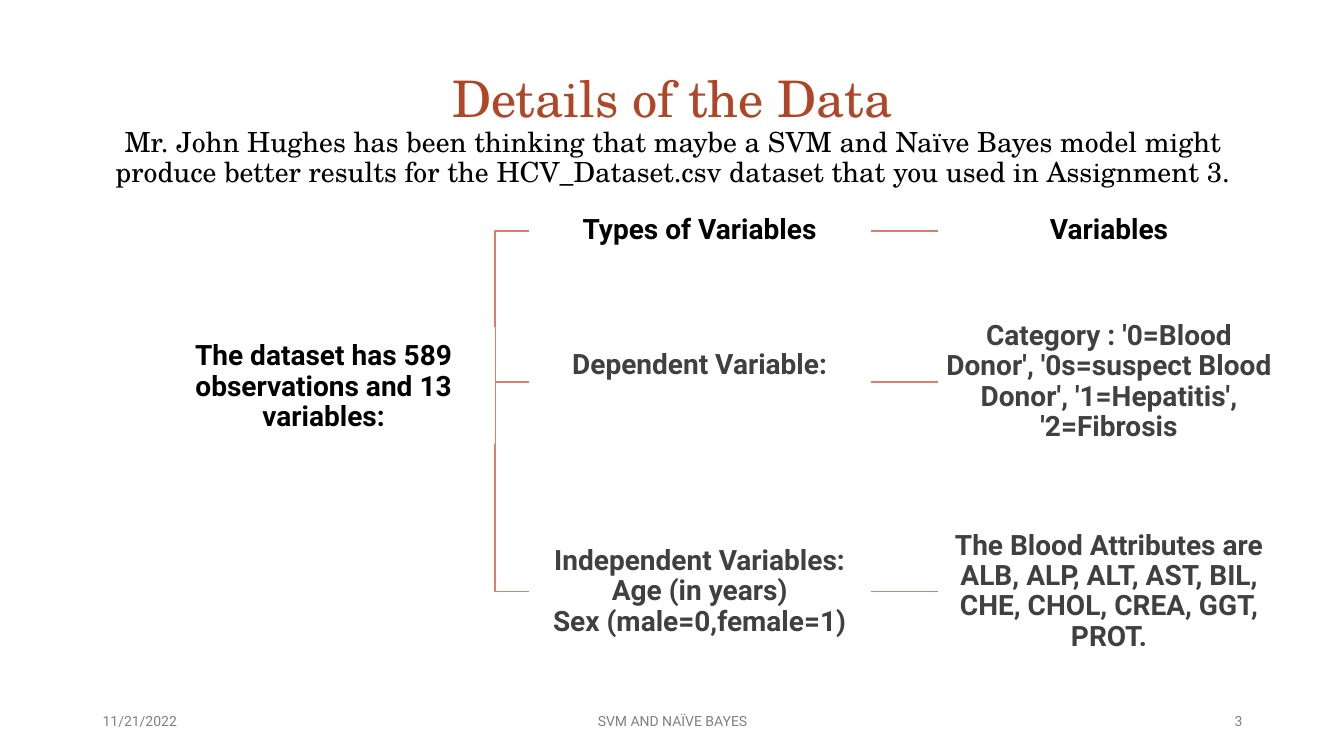
from pptx import Presentation, util as u
from pptx.dml.color import RGBColor
from pptx.enum import shapes, text
from pptx.oxml.ns import qn
from lxml import etree

BLACK = RGBColor(0x00, 0x00, 0x00)
WHITE = RGBColor(0xFF, 0xFF, 0xFF)
RUST = RGBColor(0xAF, 0x46, 0x27)
CORAL = RGBColor(0xDC, 0x80, 0x65)
CHARCOAL = RGBColor(0x40, 0x40, 0x40)
GRAY = RGBColor(0x80, 0x80, 0x80)
SERIF, SANS = "TeX Gyre Schola", "Roboto"
CENTER = text.PP_ALIGN.CENTER

MARGIN = 0.92
NODE_WIDTH, COLUMN_STEP = 3.38, 4.06
TREE_LEFT = 5.25
ROOT = "The dataset has 589 observations and 13 variables:"
# Row: centre, colour, then (text, height, bottom inset) for each column
ROWS = [
    (2.29, BLACK, [("Types of Variables", 0.54, 0.01), ("Variables", 0.52, 0.01)]),
    (3.79, CHARCOAL, [
        ("Dependent Variable:", 1.54, 0.33),
        ("Category : '0=Blood Donor', '0s=suspect Blood Donor', "
         "'1=Hepatitis', '2=Fibrosis", 1.63, 0.01)]),
    (5.87, CHARCOAL, [
        ("Independent Variables:\vAge (in years)\vSex (male=0,female=1)", 1.61, 0.01),
        ("The Blood Attributes are ALB, ALP, ALT, AST, BIL, CHE, CHOL, "
         "CREA, GGT, PROT.", 1.68, 0.01)]),
]


def write(shape, wording, align, styles, spacing=None):
    """Fill a shape with one paragraph; styles gives font, size, colour and bold, last one repeating."""
    frame = shape.text_frame
    frame.word_wrap = True
    frame.vertical_anchor = text.MSO_ANCHOR.MIDDLE
    paragraph = frame.paragraphs[0]
    paragraph.text = wording
    paragraph.alignment = align
    if spacing:
        paragraph.line_spacing = spacing
    for index, run in enumerate(paragraph.runs):
        name, size, color, bold = styles[min(index, len(styles) - 1)]
        run.font.name, run.font.size, run.font.bold = name, u.Pt(size), bold
        run.font.color.rgb = color


def add_text(slide, box, *content):
    write(slide.shapes.add_textbox(*map(u.Inches, box)), *content)


def add_title(slide, box):
    wording = ("Details of the Data\vMr. John Hughes has been thinking that maybe a SVM and "
               "Naïve Bayes model might produce better results for the HCV_Dataset.csv "
               "dataset that you used in Assignment 3.")
    styles = [(SERIF, 36, RUST, False), (SERIF, 19.8, BLACK, False)]
    add_text(slide, box, wording, CENTER, styles, 0.9)


def add_footer(slide, box):
    left, top, width, height = box
    styles = [(SANS, 10, GRAY, False)]
    parts = [("11/21/2022", 3, 0, text.PP_ALIGN.LEFT),
             ("SVM AND NAÏVE BAYES", 4.5, 0.5, CENTER),
             ("3", 3, 1, text.PP_ALIGN.RIGHT)]
    for wording, part_width, share, align in parts:
        part_left = left + (width - part_width) * share
        add_text(slide, (part_left, top, part_width, height), wording, align, styles)


def add_node(slide, box, wording, color, top_inset=0.01, bottom_inset=0.01):
    node = slide.shapes.add_shape(shapes.MSO_SHAPE.RECTANGLE, *map(u.Inches, box))
    node.shadow.inherit = False
    node.fill.solid()
    node.fill.fore_color.rgb = WHITE
    node.line.color.rgb = WHITE
    node.line.width = u.Pt(1)
    frame = node.text_frame
    frame.margin_left = frame.margin_right = u.Inches(0.01)
    frame.margin_top, frame.margin_bottom = u.Inches(top_inset), u.Inches(bottom_inset)
    write(node, wording, CENTER, [(SANS, 20, color, True)], 0.9)


def add_branch(slide, start, end):
    """Elbow from the root node to a row."""
    trunk = start[0] + 0.01
    points = [start, (trunk, start[1]), (trunk, end[1]), end]
    points = [(u.Inches(x), u.Inches(y)) for x, y in points]
    builder = slide.shapes.build_freeform(*points[0])
    builder.add_line_segments(points[1:], close=False)
    branch = builder.convert_to_shape()
    branch.shadow.inherit = False
    branch.fill.background()
    branch.line.color.rgb = CORAL
    branch.line.width = u.Pt(1)


def add_link(slide, left, right, y):
    link = slide.shapes.add_connector(
        shapes.MSO_CONNECTOR.STRAIGHT, *map(u.Inches, (left, y, right, y)))
    link.line.color.rgb = CORAL
    link.line.width = u.Pt(1)
    etree.SubElement(link._element.spPr, qn("a:effectLst"))


def add_tree(slide, root_box):
    left, top, width, height = root_box
    for center, _, _ in ROWS:
        add_branch(slide, (left + width, top + height / 2), (TREE_LEFT, center))
        add_link(slide, TREE_LEFT + NODE_WIDTH, TREE_LEFT + COLUMN_STEP, center)
    add_node(slide, root_box, ROOT, BLACK, top_inset=0.04)
    for center, color, cells in ROWS:
        for column, (wording, cell_height, inset) in enumerate(cells):
            box = (TREE_LEFT + column * COLUMN_STEP, center - cell_height / 2,
                   NODE_WIDTH, cell_height)
            add_node(slide, box, wording, color, bottom_inset=inset)


def main():
    presentation = Presentation()
    presentation.slide_width, presentation.slide_height = u.Inches(13.33), u.Inches(7.5)
    slide = presentation.slides.add_slide(presentation.slide_layouts[6])
    add_title(slide, (MARGIN, 0.77, 11.5, 1.07))
    add_footer(slide, (MARGIN, 6.95, 11.5, 0.4))
    add_tree(slide, (1.52, 3.25, NODE_WIDTH, 1.15))
    presentation.save("out.pptx")


if __name__ == "__main__":
    main()
